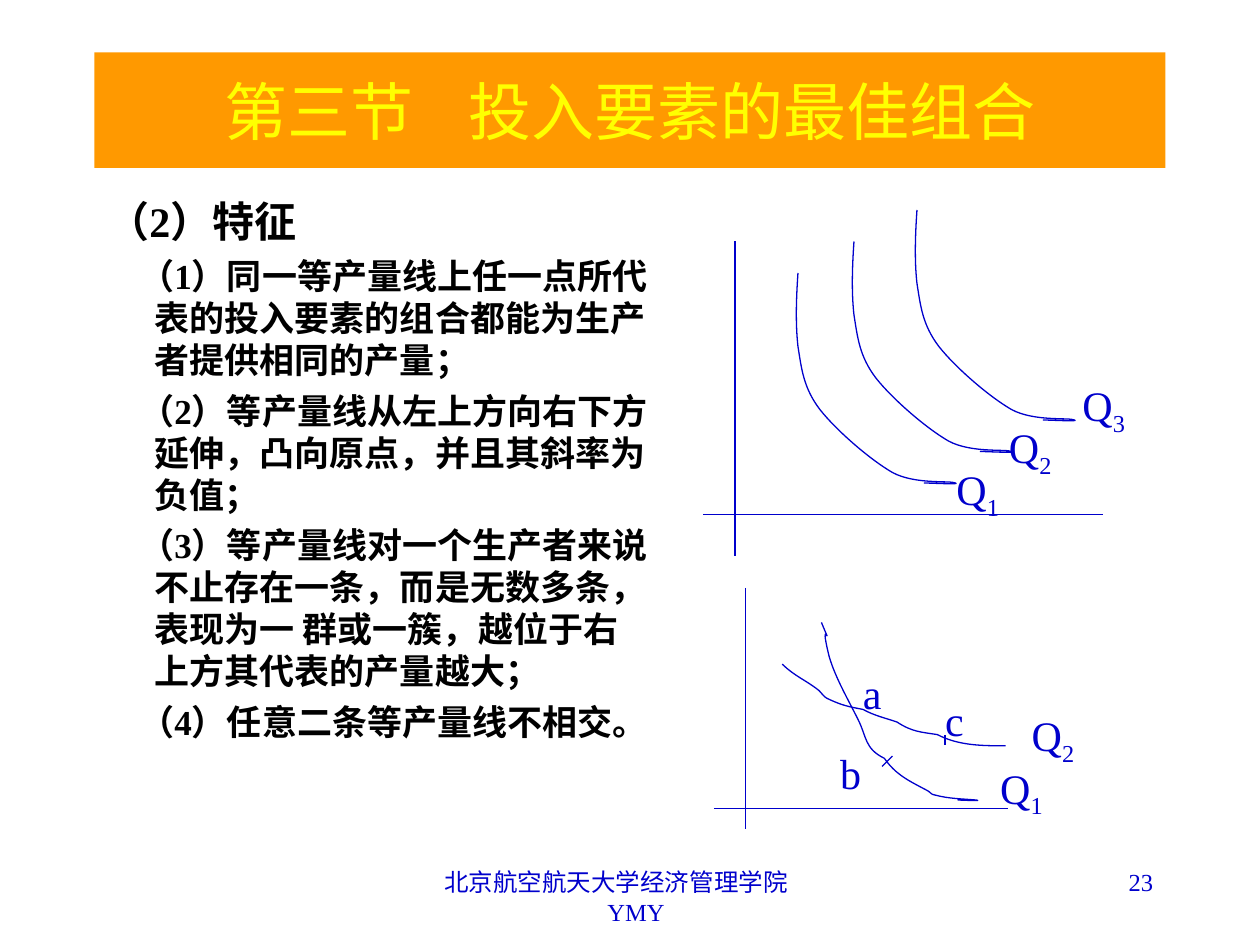
from lxml import etree
from pptx import Presentation
from pptx.dml.color import RGBColor
from pptx.enum import shapes, text
from pptx.oxml.ns import qn
from pptx.util import Pt

BLUE = RGBColor(0x00, 0x00, 0xCC)
BLACK = RGBColor(0, 0, 0)
ORANGE = RGBColor(0xFF, 0x99, 0x00)
YELLOW = RGBColor(0xFF, 0xFF, 0x00)
FONT = "Times New Roman"
CENTER, RIGHT = text.PP_ALIGN.CENTER, text.PP_ALIGN.RIGHT

SECTION, TOPIC = "第三节", "投入要素的最佳组合"
HEADING = "（2）特征"
FEATURES = [
    "（1）同一等产量线上任一点所代表的投入要素的组合都能为生产者提供相同的产量；",
    "（2）等产量线从左上方向右下方延伸，凸向原点，并且其斜率为负值；",
    "（3）等产量线对一个生产者来说不止存在一条，而是无数多条，表现为一 群或一簇，越位于右上方其代表的产量越大；",
    "（4）任意二条等产量线不相交。",
]
SCHOOL = "北京航空航天大学经济管理学院 YMY"
PAGE = "23"

# letter, subscript, left, top
LABELS = [
    ("Q", "1", 539.5, 261.5), ("Q", "2", 569.5, 237.5), ("Q", "3", 611.5, 213.5),
    ("Q", "1", 564.5, 432), ("Q", "2", 582.5, 402),
    ("a", "", 486, 378), ("b", "", 473, 423.5), ("c", "", 533, 393.5),
]
# x1, y1, x2, y2
AXES = [
    (420, 138, 420, 318), (402, 294, 630, 294),
    (426, 336, 426, 474), (408, 462, 576, 462),
]
TICKS = [(540, 420, 540, 426), (510, 432, 504, 438)]

# Bezier chains: a start point, then two controls and an end per segment
ISOQUANT = [
    (0, 0), (-1, 14.4), (-1.5, 28.8), (0, 42), (2, 54.5), (3, 65.5), (12.5, 78),
    (22, 90), (41, 106.5), (54, 114), (67, 121), (87, 118.5), (90, 120),
    (93.5, 121), (75.5, 120), (72, 120),
]
ISOQUANT_STARTS = [(456, 156), (488, 138), (524, 120)]
FLAT_CURVE = [
    (447, 379.5), (454.3, 386.6), (460.8, 388.8), (468, 394.6),
    (469.4, 396), (470.9, 398.2), (472.3, 398.9),
    (481, 403.2), (485.3, 403.9), (493.2, 405.4),
    (499.7, 409), (506.2, 410.4), (512.6, 412.6),
    (521.3, 418.3), (526.3, 418.3), (535.7, 419.8),
    (547.9, 426.2), (561.6, 426.2), (574.6, 426.2),
]
STEEP_CURVE = [
    (469.4, 355.7), (477.4, 375.1), (467.3, 348.5), (473.8, 375.1),
    (477.4, 387.4), (484.6, 399.6), (490.3, 411.1),
    (495.4, 421.2), (493.9, 427.7), (505.4, 433.4),
    (511.9, 442.8), (519.8, 446.4), (529.2, 451.4),
    (531.4, 452.2), (532.1, 454.3), (534.2, 454.3),
    (542.2, 456.5), (550.1, 456.5), (558, 457.2),
    (561.6, 457.9), (550.8, 457.2), (547.2, 457.2),
]


def add_run(paragraph, words, size, color, bold=False):
    run = paragraph.add_run()
    run.text = words
    run.font.name, run.font.size, run.font.bold = FONT, Pt(size), bold
    run.font.color.rgb = color
    return run


def add_box(slide, left, top, width, height, wrap=True):
    box = slide.shapes.add_textbox(Pt(left), Pt(top), Pt(width), Pt(height))
    box.text_frame.word_wrap = wrap
    return box.text_frame


def set_indent(paragraph, margin, indent):
    """Indent a paragraph and keep its punctuation inside the margin."""
    properties = paragraph._p.get_or_add_pPr()
    properties.set("marL", str(Pt(margin)))
    properties.set("indent", str(Pt(indent)))
    properties.set("hangingPunct", "0")


def add_line(slide, x1, y1, x2, y2):
    line = slide.shapes.add_connector(
        shapes.MSO_CONNECTOR.STRAIGHT, Pt(x1), Pt(y1), Pt(x2), Pt(y2))
    line.line.color.rgb, line.line.width = BLUE, Pt(0.75)
    etree.SubElement(line._element.spPr, qn("a:effectLst"))


def add_curve(slide, chain):
    """Draw a Bezier chain: each three line steps become one cubic segment."""
    points = [(Pt(x), Pt(y)) for x, y in chain]
    builder = slide.shapes.build_freeform(*points[0])
    builder.add_line_segments(points[1:], close=False)
    curve = builder.convert_to_shape()
    outline = curve._element.spPr.find(".//" + qn("a:path"))
    steps = outline.findall(qn("a:lnTo"))
    for i in range(0, len(steps), 3):
        cubic = etree.SubElement(outline, qn("a:cubicBezTo"))
        for step in steps[i:i + 3]:
            cubic.append(step[0])
            outline.remove(step)
    curve.shadow.inherit = False
    curve.fill.background()
    curve.line.color.rgb, curve.line.width = BLUE, Pt(0.75)


def add_footer(slide):
    frame = add_box(slide, 246, 492, 228, 36)
    frame.margin_left, frame.margin_right = 0, Pt(16)
    school = frame.paragraphs[0]
    school.alignment = CENTER
    set_indent(school, 23, -23)
    add_run(school, SCHOOL, 14, BLUE)
    page = add_box(slide, 516, 492, 150, 36).paragraphs[0]
    page.alignment = RIGHT
    add_run(page, PAGE, 14, BLUE)


def add_body(slide):
    frame = add_box(slide, 54.25, 108, 324, 372)
    items = [(HEADING, 24, -27, 0)] + [(words, 20, -8.7, 5) for words in FEATURES]
    for i, (words, size, indent, before) in enumerate(items):
        paragraph = frame.add_paragraph() if i else frame.paragraphs[0]
        paragraph.space_before = Pt(before)
        set_indent(paragraph, 27, indent)
        add_run(paragraph, words, size, BLACK, bold=True)


def add_title(slide):
    banner = slide.shapes.add_shape(
        shapes.MSO_SHAPE.RECTANGLE, Pt(54), Pt(30), Pt(612), Pt(66))
    banner.shadow.inherit = False
    banner.fill.solid()
    banner.fill.fore_color.rgb = ORANGE
    banner.line.fill.background()
    banner.text_frame.word_wrap = True
    banner.text_frame.vertical_anchor = text.MSO_ANCHOR.MIDDLE
    paragraph = banner.text_frame.paragraphs[0]
    paragraph.alignment = CENTER
    add_run(paragraph, SECTION, 36, YELLOW)
    gap = add_run(paragraph, " ", 36, YELLOW)
    gap._r.get_or_add_rPr().set("spc", "2300")
    add_run(paragraph, TOPIC, 36, YELLOW)


def main():
    deck = Presentation()
    deck.slide_width, deck.slide_height = Pt(720), Pt(540)
    slide = deck.slides.add_slide(deck.slide_layouts[6])

    add_footer(slide)
    add_body(slide)
    for ends in AXES + TICKS:
        add_line(slide, *ends)
    for left, top in ISOQUANT_STARTS:
        add_curve(slide, [(left + x, top + y) for x, y in ISOQUANT])
    for chain in (FLAT_CURVE, STEEP_CURVE):
        add_curve(slide, chain)

    for letter, subscript, left, top in LABELS:
        width, height = (39, 40) if subscript else (25, 36)
        paragraph = add_box(slide, left, top, width, height, wrap=False).paragraphs[0]
        add_run(paragraph, letter, 24, BLUE)
        if subscript:
            run = add_run(paragraph, subscript, 24, BLUE)
            run._r.get_or_add_rPr().set("baseline", "-25000")

    add_title(slide)
    deck.save("out.pptx")


if __name__ == "__main__":
    main()
